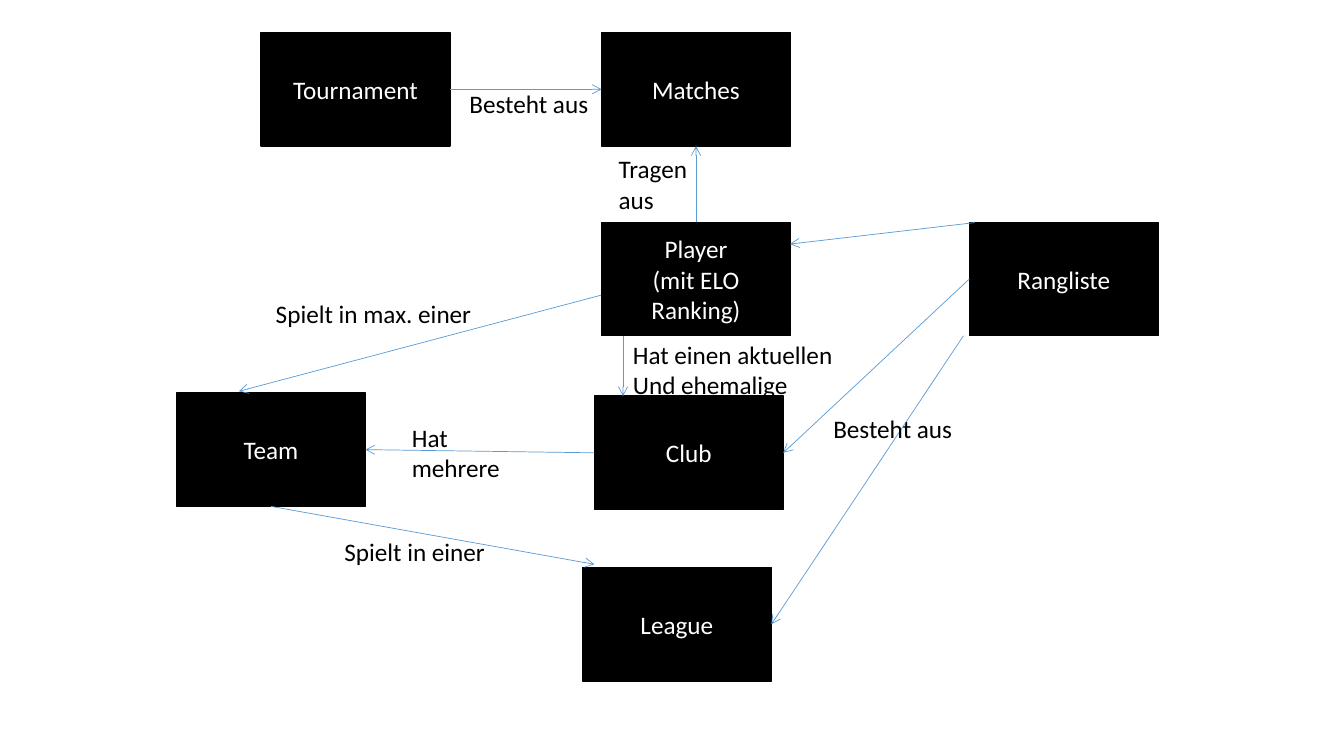
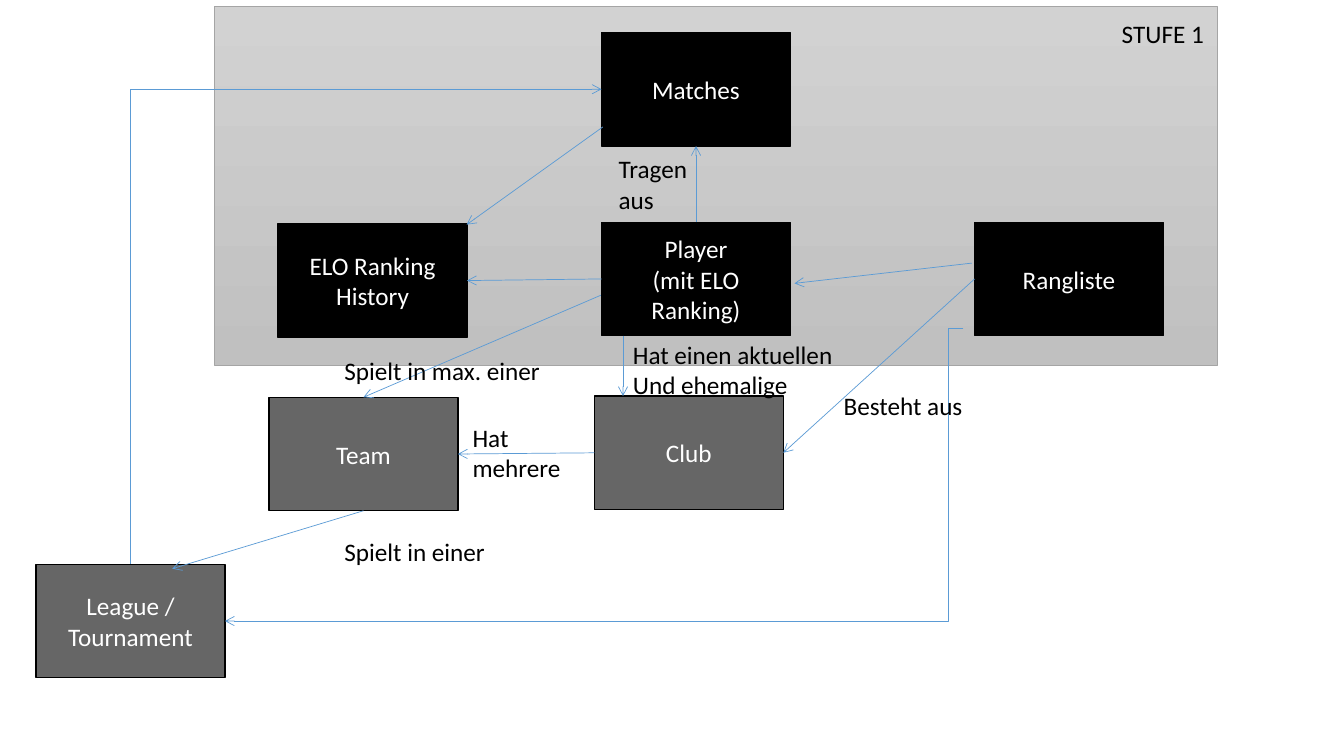
from lxml import etree
from pptx import Presentation
from pptx.dml.color import RGBColor
from pptx.enum.shapes import MSO_CONNECTOR, MSO_SHAPE
from pptx.enum.text import MSO_ANCHOR, MSO_AUTO_SIZE, PP_ALIGN
from pptx.oxml.ns import qn
from pptx.util import Cm, Pt

STRAIGHT, ELBOW = MSO_CONNECTOR.STRAIGHT, MSO_CONNECTOR.ELBOW
RECT = MSO_SHAPE.RECTANGLE
CENTER, LEFT = PP_ALIGN.CENTER, PP_ALIGN.LEFT
MIDDLE, TOP_ANCHOR = MSO_ANCHOR.MIDDLE, MSO_ANCHOR.TOP
FIT = MSO_AUTO_SIZE.SHAPE_TO_FIT_TEXT

BLACK, WHITE, BLUE, GREY = "000000", "FFFFFF", "5B9BD5", "A5A5A5"
STAGE_TOP, STAGE_BOTTOM = "D2D2D2", "C0C0C0"
FONT, SIZE = "Calibri", 18
BOX_W, BOX_H = 4.76, 2.86
LINE_H, LABEL_PAD = 0.77, 0.26
LATER_ALPHA = 60
TOP, LEFT_SIDE, BOTTOM, RIGHT_SIDE = range(4)

SHARED_BOXES = {
    "Player": ("Player\n(mit ELO Ranking)", 15.16, 5.6),
    "Club": ("Club", 14.98, 9.98),
    "Matches": ("Matches", 15.16, 0.82),
}
SHARED_ARROWS = [
    ((15.7, 8.46), (15.7, 9.98)),
    (("Player", TOP), ("Matches", BOTTOM)),
    (("Club", LEFT_SIDE), ("Team", RIGHT_SIDE)),
    (("Rangliste", LEFT_SIDE), ("Club", RIGHT_SIDE)),
]
SHARED_LABELS = [
    ("Hat einen aktuellen\nUnd ehemalige", 15.7, 8.42, 6.2, True),
    ("Tragen\naus", 15.34, 3.75, 2.41, False),
    ("Spielt in einer", 8.43, 13.39, 4.32, True),
]
SLIDES = [
    {
        "stage": None,
        "later": (),
        "boxes": {
            "Rangliste": ("Rangliste", 24.43, 5.6),
            "Team": ("Team", 4.45, 9.9),
            "League": ("League", 14.68, 14.3),
            "Tournament": ("Tournament", 6.58, 0.82),
        },
        "arrows": [
            (("Team", BOTTOM), (14.98, 14.22)),
            ((15.14, 7.44), (6.02, 9.86)),
            ((24.56, 5.61), (19.91, 6.15)),
            ((24.28, 8.46), ("League", RIGHT_SIDE)),
            (("Tournament", RIGHT_SIDE), ("Matches", LEFT_SIDE)),
        ],
        "elbows": [],
        "labels": [
            ("Besteht aus", 20.75, 10.29, 3.53, False),
            ("Besteht aus", 11.58, 2.1, 3.53, False),
            ("Hat\nmehrere", 10.13, 10.52, 4.32, True),
            ("Spielt in max. einer", 6.7, 7.39, 6, True),
        ],
    },
    {
        "stage": (5.41, 0.15, 25.27, 9.07),
        "later": ("Club", "Team", "League"),
        "boxes": {
            "Rangliste": ("Rangliste", 24.56, 5.6),
            "Team": ("Team", 6.78, 10.01),
            "League": ("League /\nTournament", 0.91, 14.22),
            "History": ("ELO Ranking History", 7.01, 5.64),
        },
        "arrows": [
            (("Team", BOTTOM), (4.34, 14.33)),
            ((15.14, 7.44), ("Team", TOP)),
            ((24.49, 6.63), (20.02, 7.14)),
            (("Player", LEFT_SIDE), ("History", RIGHT_SIDE)),
            ((15.19, 3.2), (11.76, 5.66)),
        ],
        "elbows": [
            ((24.28, 8.28), ("League", RIGHT_SIDE), 0.02),
            (("League", TOP), ("Matches", LEFT_SIDE), None),
        ],
        "labels": [
            ("Besteht aus", 21.01, 9.7, 3.53, False),
            ("Hat\nmehrere", 11.66, 10.52, 4.32, True),
            ("Spielt in max. einer", 8.43, 8.84, 6, True),
            ("STUFE 1", 28.02, 0.33, 2.59, False),
        ],
    },
]


def rgb(value):
    return RGBColor.from_string(value)


def write(shape, text, color=BLACK, align=LEFT, anchor=TOP_ANCHOR, wrap=True):
    tf = shape.text_frame
    tf.text = text
    tf.word_wrap = wrap
    tf.vertical_anchor = anchor
    for p in tf.paragraphs:
        p.alignment = align
        for r in p.runs:
            r.font.name = FONT
            r.font.size = Pt(SIZE)
            r.font.color.rgb = rgb(color)


def add_rect(s, x, y, w, h, line, width):
    sp = s.shapes.add_shape(RECT, Cm(x), Cm(y), Cm(w), Cm(h))
    sp.shadow.inherit = False
    sp.line.color.rgb = rgb(line)
    sp.line.width = Pt(width)
    return sp


def add_stage(s, x, y, w, h):
    sp = add_rect(s, x, y, w, h, GREY, 0.5)
    sp.fill.gradient()
    sp.fill.gradient_angle = 270
    for stop, color, place in zip(sp.fill.gradient_stops,
                                  (STAGE_TOP, STAGE_BOTTOM), (0, 1)):
        stop.color.rgb = rgb(color)
        stop.position = place


def add_box(s, text, x, y, later):
    sp = add_rect(s, x, y, BOX_W, BOX_H, BLACK, 1)
    sp.fill.solid()
    sp.fill.fore_color.rgb = rgb(BLACK)
    if later:
        color = sp._element.spPr.find(qn("a:solidFill")).find(qn("a:srgbClr"))
        etree.SubElement(color, qn("a:alpha"), val=str(LATER_ALPHA * 1000))
    write(sp, text, color=WHITE, align=CENTER, anchor=MIDDLE)
    return sp


def add_label(s, text, x, y, w, wrap):
    h = LABEL_PAD + LINE_H * len(text.split("\n"))
    sp = s.shapes.add_textbox(Cm(x), Cm(y), Cm(w), Cm(h))
    write(sp, text, wrap=wrap)
    sp.text_frame.auto_size = FIT


def locate(end, boxes):
    if end[0] not in boxes:
        return end
    name, side = end
    x, y = boxes[name][1:]
    dx, dy = ((0.5, 0), (0, 0.5), (0.5, 1), (1, 0.5))[side]
    return x + dx * BOX_W, y + dy * BOX_H


def add_arrow(s, kind, start, end):
    c = s.shapes.add_connector(kind, *(Cm(v) for v in (*start, *end)))
    c.line.color.rgb = rgb(BLUE)
    c.line.width = Pt(0.5)
    etree.SubElement(c.line._get_or_add_ln(), qn("a:tailEnd"), type="arrow")
    etree.SubElement(c._element.spPr, qn("a:effectLst"))
    return c


def add_bend(s, start, end, bend):
    (x1, y1), (x2, y2) = start, end
    if bend is None:
        cx, cy = (x1 + x2) / 2, (y1 + y2) / 2
        dx, dy = abs(y2 - y1) / 2, abs(x2 - x1) / 2
        c = add_arrow(s, ELBOW, (cx + dx, cy + dy), (cx - dx, cy - dy))
        c._element.spPr.find(qn("a:xfrm")).set("rot", str(90 * 60000))
        c._element.spPr.find(qn("a:prstGeom")).set("prst", "bentConnector2")
        return
    c = add_arrow(s, ELBOW, start, end)
    geom = c._element.spPr.find(qn("a:prstGeom"))
    guides = geom.find(qn("a:avLst"))
    if guides is None:
        guides = etree.SubElement(geom, qn("a:avLst"))
    etree.SubElement(guides, qn("a:gd"), name="adj1",
                     fmla=f"val {round(bend * 100000)}")


def build(prs, data):
    s = prs.slides.add_slide(prs.slide_layouts[6])
    if data["stage"]:
        add_stage(s, *data["stage"])
    boxes = {**SHARED_BOXES, **data["boxes"]}
    shapes = {name: add_box(s, *box, name in data["later"])
              for name, box in boxes.items()}
    for start, end in SHARED_ARROWS + data["arrows"]:
        c = add_arrow(s, STRAIGHT, locate(start, boxes), locate(end, boxes))
        if start[0] in shapes:
            c.begin_connect(shapes[start[0]], start[1])
        if end[0] in shapes:
            c.end_connect(shapes[end[0]], end[1])
    for start, end, bend in data["elbows"]:
        add_bend(s, locate(start, boxes), locate(end, boxes), bend)
    for label in SHARED_LABELS + data["labels"]:
        add_label(s, *label)


prs = Presentation()
prs.slide_width, prs.slide_height = Cm(33.87), Cm(19.05)
for data in SLIDES:
    build(prs, data)
prs.save("out.pptx")
